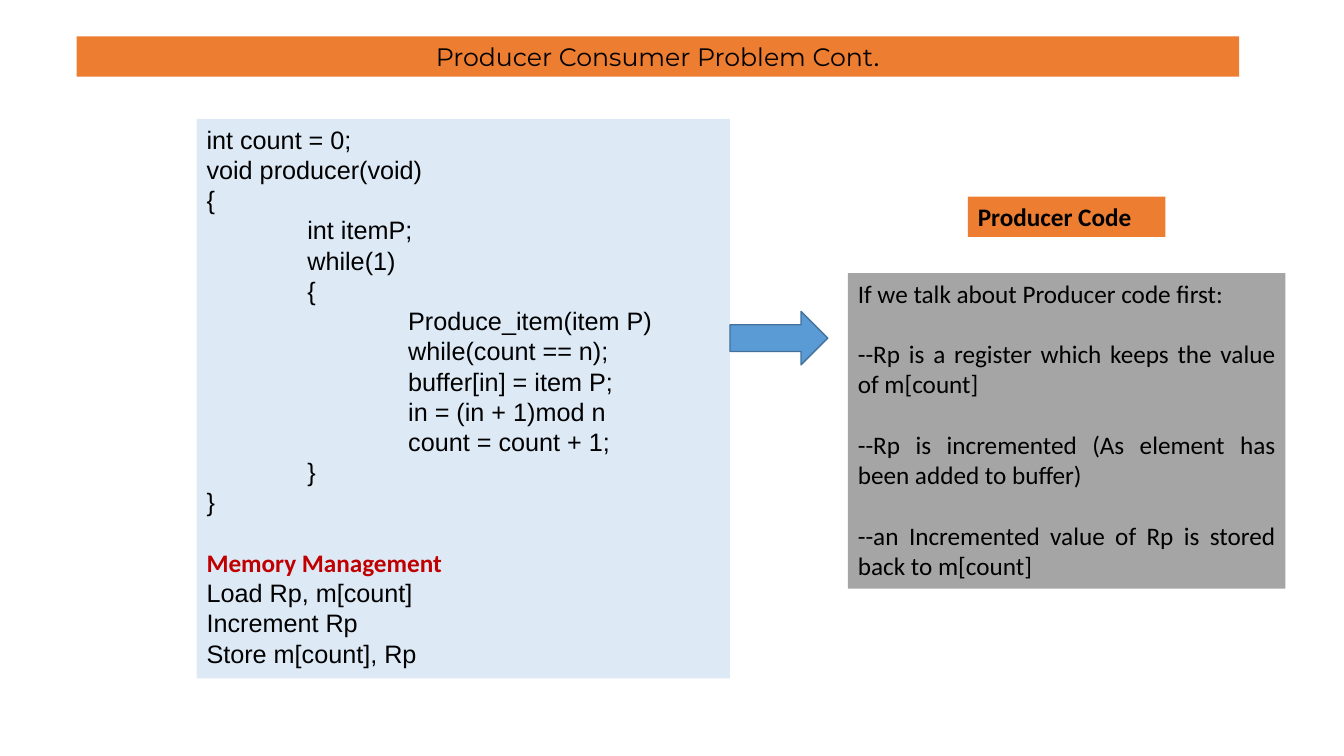
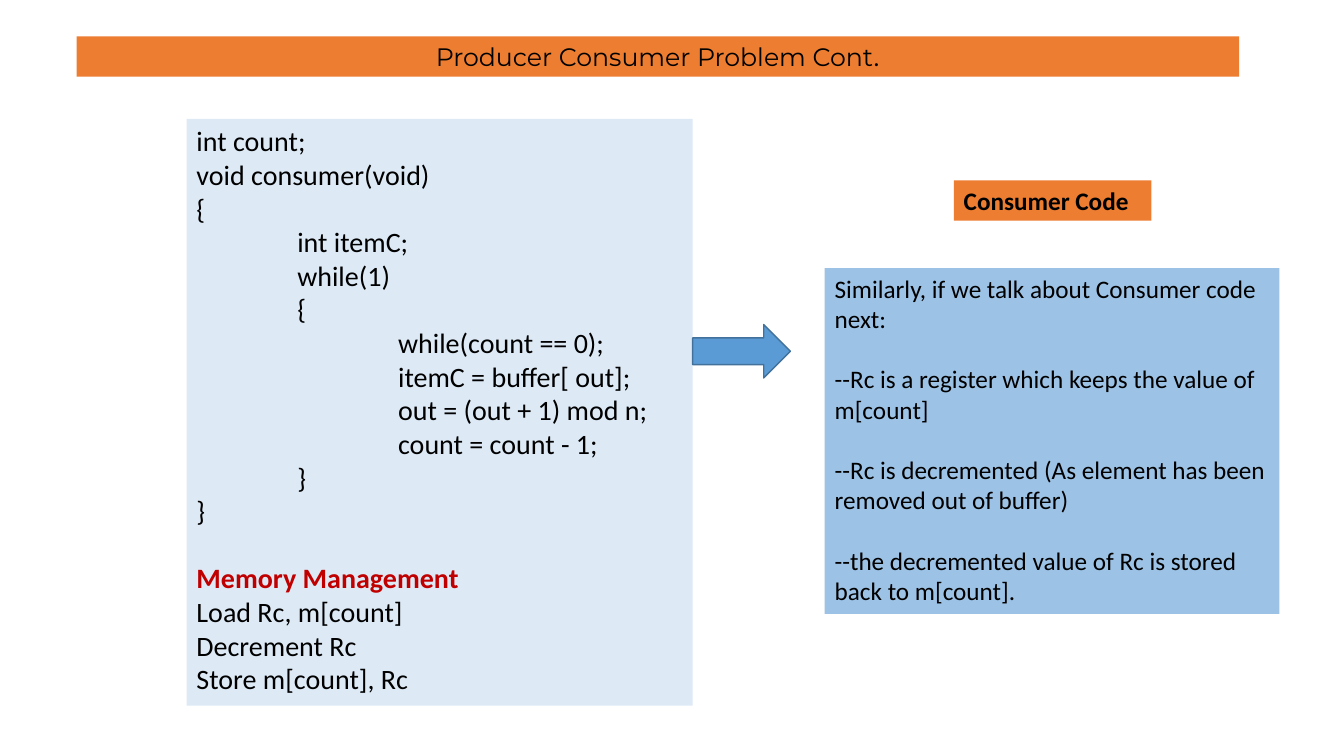
from pptx import Presentation
from pptx import util as u
from pptx.dml.color import RGBColor
from pptx.enum import shapes, text

PX = 9144  # EMU per px, 100 px to the inch
ORANGE, PALE, GREY, SKY = "ED7D31", "DDEAF6", "A5A5A5", "9CC2E5"
BLUE, NAVY, RED, BLACK = "5B9BD5", "42719B", "C00000", "000000"
BODY, HEAD, CODE = "Calibri", "Montserrat", "Arial"


def rgb(value):
    return RGBColor.from_string(value)


def box(*lengths):
    return [u.Emu(n * PX) for n in lengths]


class Deck:
    size = 18
    leading = 1.2
    tab = 100
    arrow_size = (97, 53)

    def __init__(self):
        self.prs = Presentation()
        self.prs.slide_width, self.prs.slide_height = box(1333, 750)

    def slide(self, title):
        self.s = self.prs.slides.add_slide(self.prs.slide_layouts[5])
        sp = self.s.shapes.title
        sp.left, sp.top, sp.width, sp.height = box(76, 36, 1153, 40)
        tf = self.frame(sp, ORANGE)
        p = self.paragraph(tf, True, self.size, text.PP_ALIGN.CENTER)
        self.run(p, title, HEAD, self.size)
        self.run(p, ".", BODY, self.size)

    def frame(self, sp, fill):
        sp.fill.solid()
        sp.fill.fore_color.rgb = rgb(fill)
        tf = sp.text_frame
        tf.word_wrap = True
        tf.auto_size = text.MSO_AUTO_SIZE.NONE
        tf.vertical_anchor = text.MSO_ANCHOR.TOP
        tf.margin_left, tf.margin_top, tf.margin_right, tf.margin_bottom = box(10, 5, 10, 5)
        return tf

    def panel(self, at, fill):
        return self.frame(self.s.shapes.add_textbox(*box(*at)), fill)

    def paragraph(self, tf, first, size, align=text.PP_ALIGN.LEFT, gap=False):
        p = tf.paragraphs[0] if first else tf.add_paragraph()
        line = u.Pt(size * self.leading)
        p.alignment = align
        p.line_spacing = line
        p.space_before = line if gap else u.Pt(0)
        return p

    def run(self, p, words, font, size, color=BLACK, bold=False):
        r = p.add_run()
        r.text = words
        r.font.name, r.font.size, r.font.bold = font, u.Pt(size), bold
        r.font.color.rgb = rgb(color)

    def code(self, at, lines, steps, font, size):
        """Code lines are (indent level, words); steps follow a red heading."""
        tf = self.panel(at, PALE)
        for i, (level, words) in enumerate(lines):
            p = self.paragraph(tf, i == 0, size)
            if level:
                p._p.get_or_add_pPr().set("marL", str(level * self.tab * PX))
            self.run(p, words, font, size)
        p = self.paragraph(tf, False, size, gap=True)
        self.run(p, "Memory Management", BODY, size, RED, True)
        for words in steps:
            self.run(self.paragraph(tf, False, size), words, font, size)

    def label(self, left, top, words):
        tf = self.panel((left, top, 196, 40), ORANGE)
        self.run(self.paragraph(tf, True, self.size), words, BODY, self.size, bold=True)

    def explanation(self, at, fill, align, items):
        tf = self.panel(at, fill)
        for i, words in enumerate(items):
            p = self.paragraph(tf, i == 0, self.size, align, gap=i > 0)
            self.run(p, words, BODY, self.size)

    def arrow(self, left, top):
        sp = self.s.shapes.add_shape(
            shapes.MSO_SHAPE.RIGHT_ARROW, *box(left, top, *self.arrow_size))
        sp.shadow.inherit = False
        sp.fill.solid()
        sp.fill.fore_color.rgb = rgb(BLUE)
        sp.line.color.rgb = rgb(NAVY)
        sp.line.width = u.Pt(1)


def main():
    deck = Deck()
    title = "Producer Consumer Problem Cont"

    # Producer
    deck.slide(title)
    deck.code((195, 118, 529, 555), [
        (0, "int count = 0;"),
        (0, "void producer(void)"),
        (0, "{"),
        (1, "int itemP;"),
        (1, "while(1)"),
        (1, "{"),
        (2, "Produce_item(item P)"),
        (2, "while(count == n);"),
        (2, "buffer[in] = item P;"),
        (2, "in = (in + 1)mod n"),
        (2, "count = count + 1;"),
        (1, "}"),
        (0, "}"),
    ], ["Load Rp, m[count]", "Increment Rp", "Store m[count], Rp"], CODE, 18)
    deck.arrow(724, 309)
    deck.label(960, 195, "Producer Code")
    deck.explanation((841, 271, 434, 313), GREY, text.PP_ALIGN.JUSTIFY, [
        "If we talk about Producer code first:",
        "--Rp is a register which keeps the value of m[count]",
        "--Rp is incremented (As element has been added to buffer)",
        "--an Incremented value of Rp is stored back to m[count]",
    ])

    # Consumer
    deck.slide(title)
    deck.code((185, 118, 502, 582), [
        (0, "int count;"),
        (0, "void consumer(void)"),
        (0, "{"),
        (1, "int itemC;"),
        (1, "while(1)"),
        (1, "{"),
        (2, "while(count == 0);"),
        (2, "itemC = buffer[ out];"),
        (2, "out = (out + 1) mod n;"),
        (2, "count = count - 1;"),
        (1, "}"),
        (0, "}"),
    ], ["Load Rc, m[count]", "Decrement Rc", "Store m[count], Rc"], BODY, 20)
    deck.arrow(687, 322)
    deck.label(946, 179, "Consumer Code")
    deck.explanation((818, 266, 451, 343), SKY, text.PP_ALIGN.LEFT, [
        "Similarly, if we talk about Consumer code next:",
        "--Rc is a register which keeps the value of m[count]",
        "--Rc is decremented (As element has been removed out of buffer)",
        "--the decremented value of Rc is stored back to m[count].",
    ])

    deck.prs.save("out.pptx")


if __name__ == "__main__":
    main()
